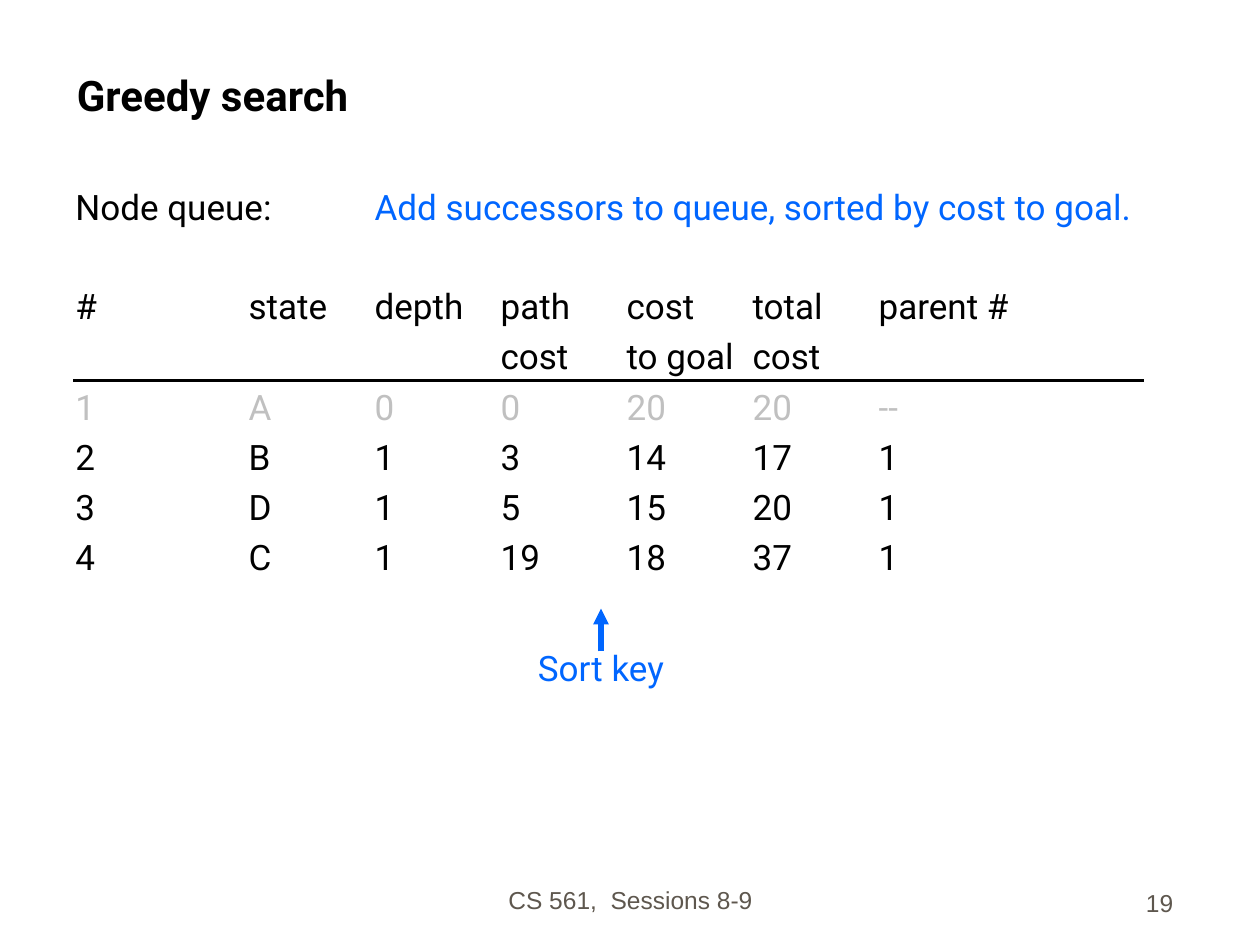
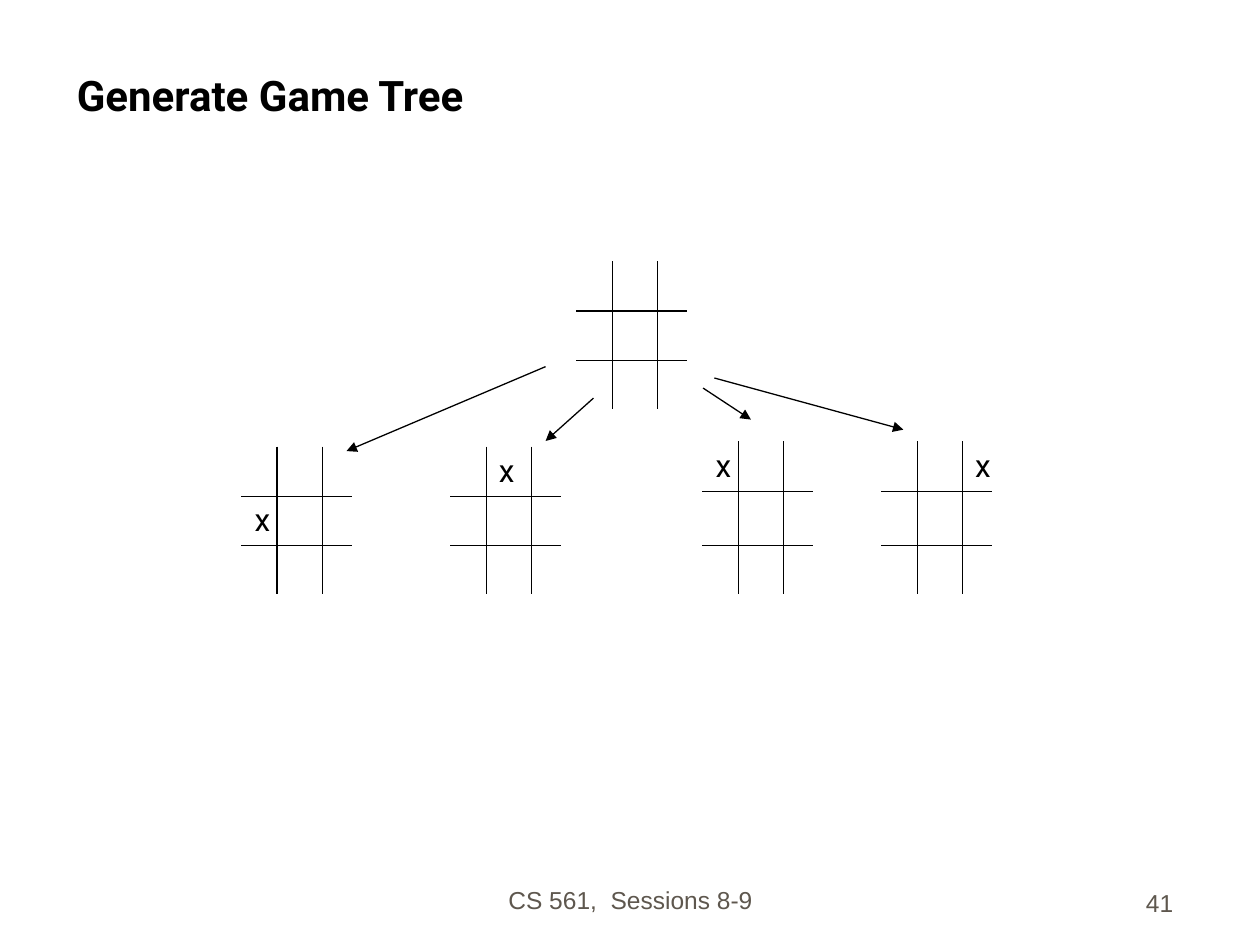
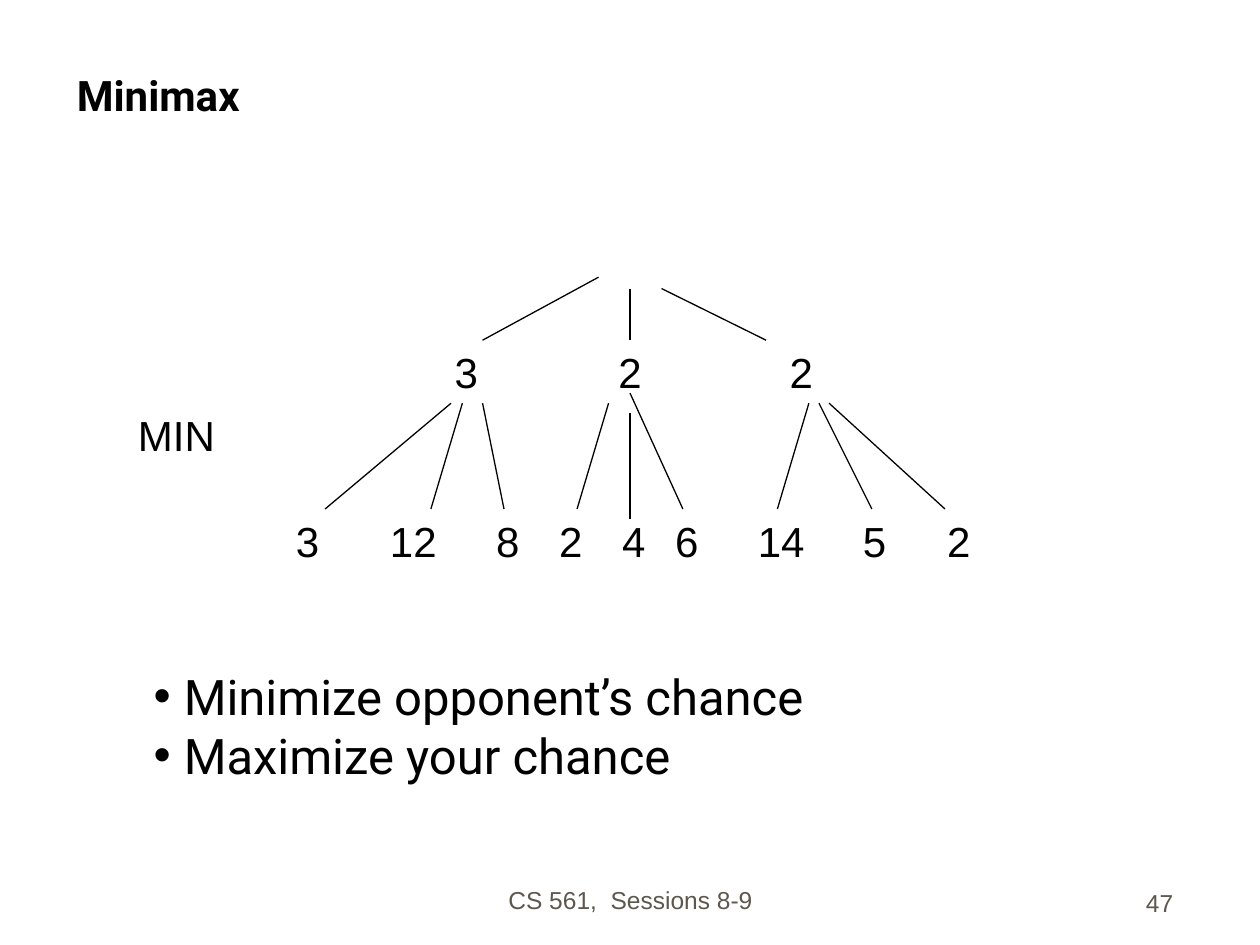
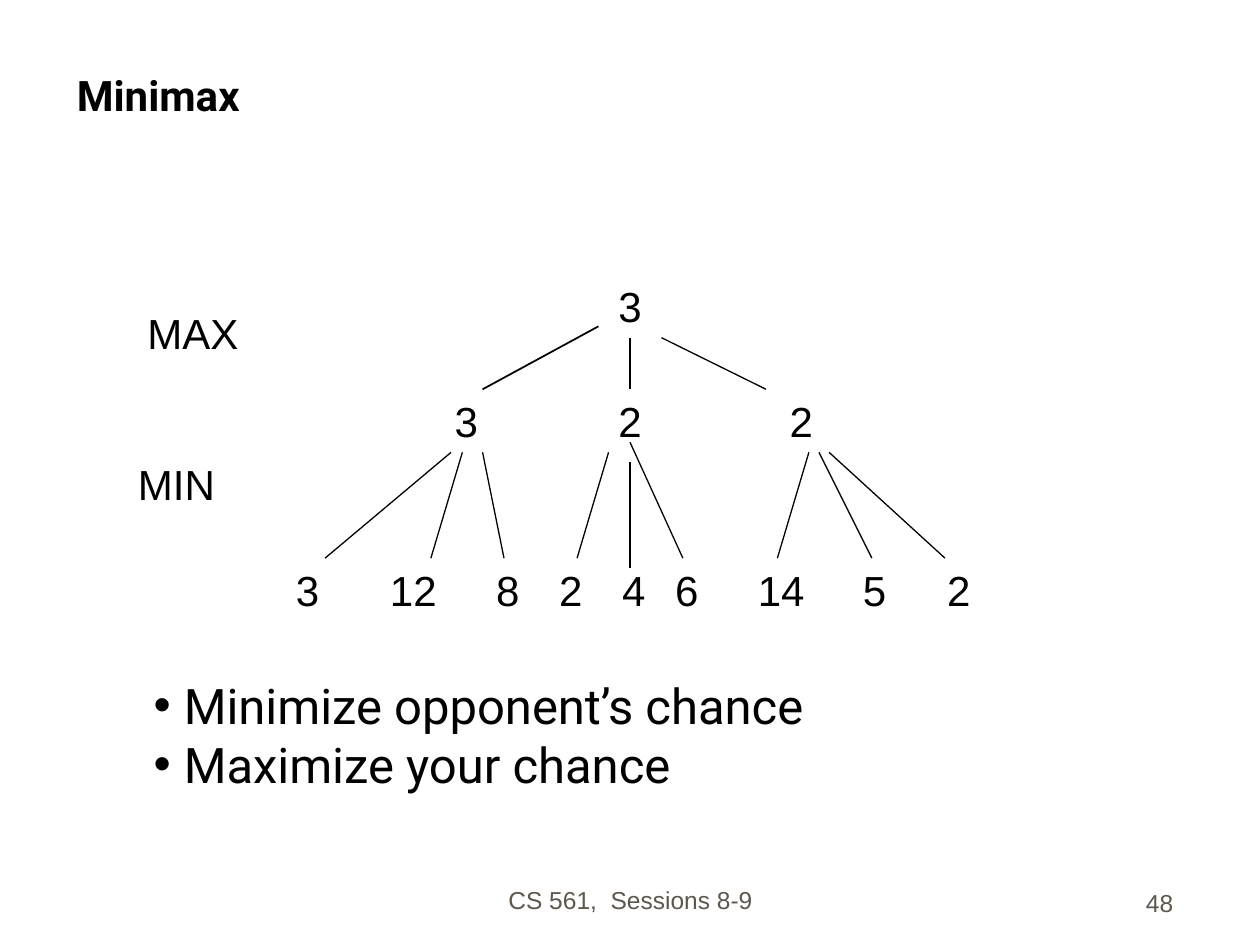
from lxml.etree import SubElement
from pptx import Presentation
from pptx.dml.color import RGBColor
from pptx.enum.shapes import MSO_CONNECTOR
from pptx.enum.text import MSO_ANCHOR, MSO_AUTO_SIZE, PP_ALIGN
from pptx.oxml import parse_xml
from pptx.oxml.ns import nsdecls, qn
from pptx.util import Inches, Pt

BLACK = RGBColor(0x00, 0x00, 0x00)
BLUE = RGBColor(0x00, 0x66, 0xFF)
SILVER = RGBColor(0xC0, 0xC0, 0xC0)
TAUPE = RGBColor(0x5E, 0x57, 0x4E)
HEADING_FONT, LABEL_FONT = "Roboto", "Arial"
COURSE = "CS 561,  Sessions 8-9"

QUEUE_LABEL = "Node queue:\t"
QUEUE_RULE = "Add successors to queue, sorted by cost to goal."
QUEUE_ROWS = [
    (["#", "", "state", "depth", "path", "cost", "total", "parent #"], BLACK),
    (["", "", "", "", "cost", "to goal", "cost"], BLACK),
    (["1", "", "A", "0", "0", "20", "20", "--"], SILVER),
    (["2", "", "B", "1", "3", "14", "17", "1"], BLACK),
    (["3", "", "D", "1", "5", "15", "20", "1"], BLACK),
    (["4", "", "C", "1", "19", "18", "37", "1"], BLACK),
]
ROW_GAP, HEADER_GAP = 4.7, 32.8

BOARD_COLUMNS = [0.28, 0.36, 0.23]
SHORT_ROWS, TALL_ROWS = [0.39, 0.39, 0.39], [0.39, 0.43, 0.39]
BOARDS = [
    (4.58, 2.08, SHORT_ROWS, None),
    (3.58, 3.55, SHORT_ROWS, (0, 1)),
    (5.58, 3.51, TALL_ROWS, (0, 0)),
    (7.0, 3.51, TALL_ROWS, (0, 2)),
    (1.92, 3.55, SHORT_ROWS, (1, 0)),
]
MOVES = [
    ((4.33, 2.91), (2.75, 3.58)),
    ((4.71, 3.16), (4.33, 3.5)),
    ((5.58, 3.08), (5.96, 3.33)),
    ((5.67, 3.0), (7.17, 3.41)),
]

CHILDREN = [("3", 3.7), ("2", 5.0), ("2", 6.36)]
LEAVES = [
    ("3", 2.44), ("12", 3.28), ("8", 4.03), ("2", 4.53), ("4", 5.03),
    ("6", 5.45), ("14", 6.2), ("5", 6.94), ("2", 7.61),
]
CHILD_TOP, LEAF_TOP, NODE_HEIGHT = 2.7, 4.04, 0.5
CHILD_BOTTOM = CHILD_TOP + NODE_HEIGHT
ROOT_BRANCHES = [
    ((4.75, 2.2), (3.83, CHILD_TOP)),
    ((5.0, 2.29), (5.0, CHILD_TOP)),
    ((5.25, 2.29), (6.08, CHILD_TOP)),
]
LEAF_BRANCHES = [
    (3.58, 2.58, 0, 0), (3.67, 3.42, 0, 0), (3.83, 4.0, 0, 0),
    (4.83, 4.58, 0, 0), (5.0, 5.0, 0.08, 0.08), (5.0, 5.42, -0.08, 0),
    (6.42, 6.17, 0, 0), (6.5, 6.92, 0, 0), (6.58, 7.5, 0, 0),
]
MIN_LABEL = ("MIN", 1.4, 3.2, 0.81)
MAX_LABEL = ("MAX", 1.53, 2.0, 0.92)
ROOT_LABEL = ("3", 5.0, 1.79, 0.39)
GOALS = ["Minimize opponent’s chance", "Maximize your chance"]


def style(paragraph, size, face=HEADING_FONT, colour=BLACK, bold=False):
    font = paragraph.font
    font.size, font.name, font.bold = Pt(size), face, bold
    font.color.rgb = colour


def add_frame(slide, left, top, width, height, wrap=True):
    box = slide.shapes.add_textbox(*map(Inches, (left, top, width, height)))
    box.text_frame.word_wrap = wrap
    return box.text_frame


def add_label(slide, text, centre, top, width, face=LABEL_FONT, size=24, colour=BLACK):
    frame = add_frame(slide, centre - width / 2, top, width, NODE_HEIGHT, wrap=False)
    paragraph = frame.paragraphs[0]
    paragraph.text, paragraph.alignment = text, PP_ALIGN.CENTER
    style(paragraph, size, face, colour)


def add_line(slide, start, end, weight=0.75, colour=BLACK, arrow=False):
    line = slide.shapes.add_connector(
        MSO_CONNECTOR.STRAIGHT, *map(Inches, (*start, *end)))
    line.line.color.rgb, line.line.width = colour, Pt(weight)
    properties = line._element.spPr
    if arrow:
        SubElement(properties.find(qn("a:ln")), qn("a:tailEnd"), type="triangle")
    SubElement(properties, qn("a:effectLst"))


def set_indent(paragraph, indent):
    properties = paragraph._p.get_or_add_pPr()
    properties.set("marL", str(Inches(indent)))
    properties.set("indent", str(-Inches(indent)))
    return properties


def start_slide(deck, heading, number):
    slide = deck.slides.add_slide(deck.slide_layouts[5])
    title = slide.shapes.title
    title.left, title.top, title.width, title.height = map(Inches, (0.51, 0.25, 8.92, 0.75))
    frame = title.text_frame
    frame.text, frame.vertical_anchor = heading, MSO_ANCHOR.BOTTOM
    frame.auto_size = MSO_AUTO_SIZE.NONE
    frame.paragraphs[0].alignment = PP_ALIGN.LEFT
    style(frame.paragraphs[0], 24, bold=True)
    for text, left, top, width, alignment in [
        (COURSE, 3.42, 6.81, 3.17, PP_ALIGN.CENTER),
        (str(number), 7.33, 6.83, 2.08, PP_ALIGN.RIGHT),
    ]:
        footer = add_frame(slide, left, top, width, 0.5)
        footer.text, footer.vertical_anchor = text, MSO_ANCHOR.BOTTOM
        footer.paragraphs[0].alignment = alignment
        style(footer.paragraphs[0], 14, LABEL_FONT, TAUPE)
    return slide


def add_queue(slide):
    frame = add_frame(slide, 0.5, 1.42, 8.94, 5.5)
    intro = frame.paragraphs[0]
    intro.add_run().text = QUEUE_LABEL
    rule = intro.add_run()
    rule.text, rule.font.color.rgb = QUEUE_RULE, BLUE
    style(intro, 20)
    for index, (fields, colour) in enumerate(QUEUE_ROWS):
        row = frame.add_paragraph()
        row.text = "\t".join(fields)
        row.space_before = Pt(ROW_GAP if index else HEADER_GAP)
        style(row, 20, colour=colour)
    for paragraph in frame.paragraphs:
        set_indent(paragraph, 0.375).set("defTabSz", str(Inches(1)))
    add_line(slide, (0.58, 3.02), (9.08, 3.02), 2.25)
    add_line(slide, (4.77, 5.17), (4.77, 4.83), 3, BLUE, arrow=True)
    add_label(slide, "Sort key", 4.77, 5.08, 1.21, HEADING_FONT, 20, BLUE)


def add_borders(cell, row, column):
    inner = [("L", column > 0), ("R", column < 2), ("T", row > 0), ("B", row < 2)]
    sides = [side for side, shown in inner if shown]
    for index, side in enumerate(sides):
        cell._tc.get_or_add_tcPr().insert(index, parse_xml(
            f'<a:ln{side} {nsdecls("a")} w="{Pt(1)}"><a:solidFill>'
            f'<a:srgbClr val="{BLACK}"/></a:solidFill></a:ln{side}>'))


def add_board(slide, left, top, heights, mark):
    board = slide.shapes.add_table(3, 3, *map(
        Inches, (left, top, sum(BOARD_COLUMNS), sum(heights)))).table
    board.first_row = board.horz_banding = False
    for index in range(3):
        board.columns[index].width = Inches(BOARD_COLUMNS[index])
        board.rows[index].height = Inches(heights[index])
    for row in range(3):
        for column in range(3):
            cell = board.cell(row, column)
            cell.margin_right = cell.margin_bottom = 0
            cell.fill.background()
            add_borders(cell, row, column)
            if (row, column) == mark:
                cell.text = "x"
            style(cell.text_frame.paragraphs[0], 18)


def add_tree(slide, drop, labels, first_weight):
    nodes = [(*child, CHILD_TOP) for child in CHILDREN]
    nodes += [(*leaf, LEAF_TOP) for leaf in LEAVES]
    for text, centre, top in nodes:
        add_label(slide, text, centre, top + drop, 0.2 + 0.19 * len(text))
    for text, centre, top, width in labels:
        add_label(slide, text, centre, top + drop, width)
    branches = ROOT_BRANCHES + [
        ((x1, CHILD_BOTTOM + dy1), (x2, LEAF_TOP + dy2))
        for x1, x2, dy1, dy2 in LEAF_BRANCHES]
    for index, ((x1, y1), (x2, y2)) in enumerate(branches):
        add_line(slide, (x1, y1 + drop), (x2, y2 + drop), 0.75 if index else first_weight)


def add_goals(slide, top):
    frame = add_frame(slide, 1.12, top, 5.85, 1.03)
    frame.text = "\n".join(GOALS)
    for paragraph in frame.paragraphs:
        properties = set_indent(paragraph, 0.24)
        SubElement(properties, qn("a:buFont"), typeface=LABEL_FONT)
        SubElement(properties, qn("a:buChar"), char="•")
        style(paragraph, 28)


def main():
    deck = Presentation()
    deck.slide_width, deck.slide_height = Inches(10), Inches(7.5)

    add_queue(start_slide(deck, "Greedy search", 19))

    game = start_slide(deck, "Generate Game Tree", 41)
    for board in BOARDS:
        add_board(game, *board)
    for start, end in MOVES:
        add_line(game, start, end, arrow=True)

    for number, drop, labels, first_weight, goals_top in [
        (47, 0, [MIN_LABEL], 0.75, 5.24),
        (48, 0.39, [ROOT_LABEL, MAX_LABEL, MIN_LABEL], 1, 5.31),
    ]:
        minimax = start_slide(deck, "Minimax", number)
        add_tree(minimax, drop, labels, first_weight)
        add_goals(minimax, goals_top)

    deck.save("out.pptx")


if __name__ == "__main__":
    main()
